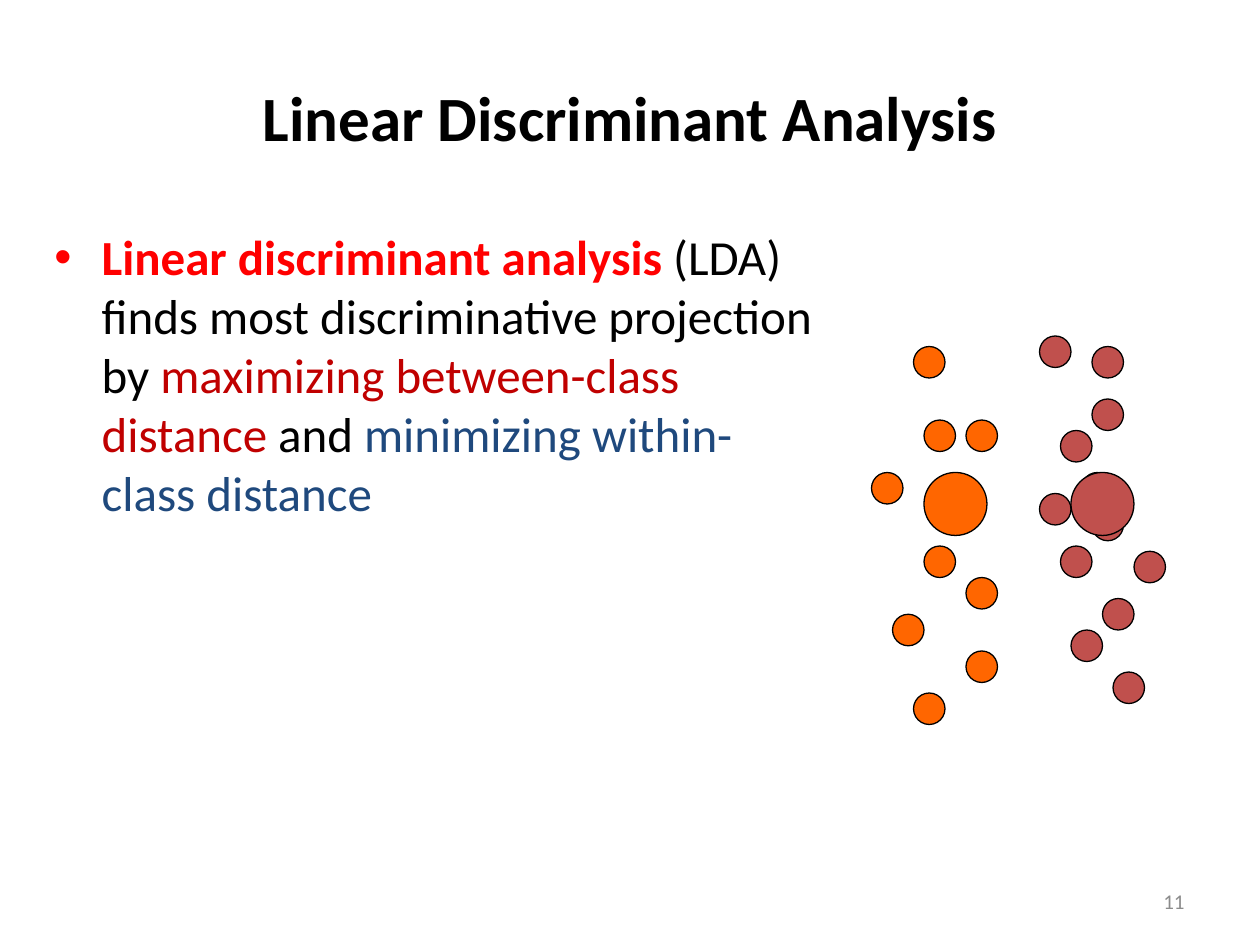
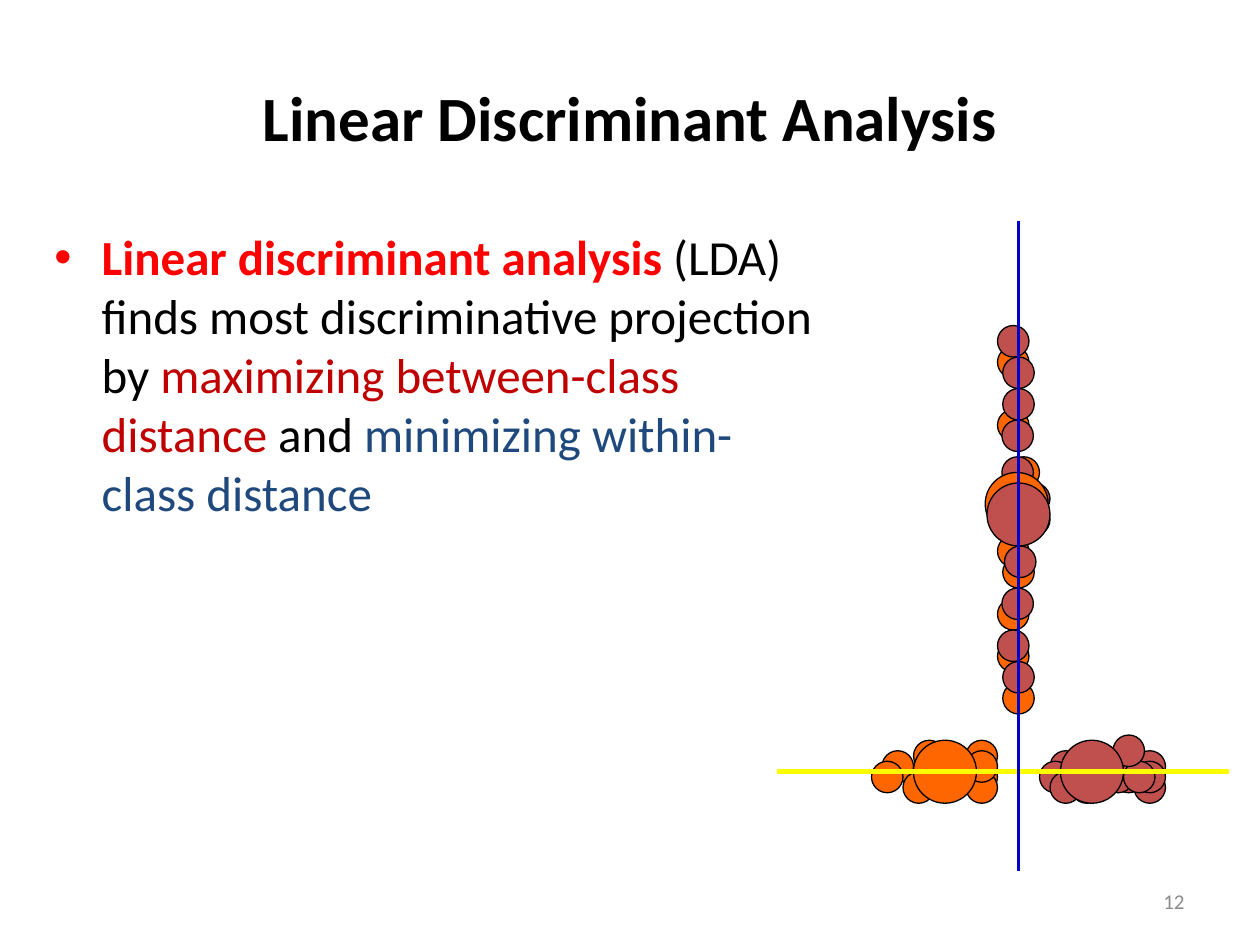
from dataclasses import dataclass
from lxml.etree import SubElement
from pptx import Presentation
from pptx.dml.color import RGBColor
from pptx.enum.shapes import MSO_CONNECTOR, MSO_SHAPE
from pptx.enum.text import MSO_ANCHOR, PP_ALIGN
from pptx.oxml.ns import qn
from pptx.util import Pt


@dataclass(frozen=True)
class Theme:
    font: str = "Calibri"
    ink: str = "000000"
    paper: str = "FFFFFF"
    term: str = "FF0000"
    between: str = "C00000"
    within: str = "1F497D"
    orange: str = "FF6600"
    red: str = "C0504D"
    yellow: str = "FFFF00"
    blue: str = "0000CC"
    gray: str = "8C8C8C"
    head: float = 36
    body: float = 28
    foot: float = 12
    dot: float = 18
    hub: float = 36
    edge: float = 0.75


THEME = Theme()

TITLE = "Linear Discriminant Analysis"
POINT = [
    ("Linear discriminant analysis ", THEME.term, True),
    ("(LDA) finds most discriminative projection by ", THEME.ink, False),
    ("maximizing between-class distance", THEME.between, False),
    (" and ", THEME.ink, False),
    ("minimizing within-class distance", THEME.within, False),
]

PLANE = {
    THEME.orange: [(552, 330), (552, 240), (510, 351), (534, 282), (498, 270),
                   (552, 372), (528, 240), (522, 396), (528, 312), (522, 198)],
    THEME.red: [(606, 246), (624, 291), (606, 312), (624, 228), (630, 342),
                (648, 315), (624, 198), (618, 270), (594, 282), (594, 192),
                (636, 384), (612, 360)],
}
FLAT = {
    THEME.orange: [(552, 435), (552, 423), (504, 429), (552, 441), (498, 435),
                   (552, 429), (516, 441), (522, 432), (522, 423), (528, 435)],
    THEME.red: [(612, 435), (648, 441), (600, 429), (636, 435), (630, 435),
                (648, 429), (648, 435), (642, 435), (594, 435), (600, 441),
                (636, 420), (612, 441)],
}
TALL = {
    THEME.orange: [(573, 318), (570, 342), (576, 261), (570, 366), (570, 234),
                   (573, 390), (570, 306), (570, 198)],
    THEME.red: [(572.5, 240), (582, 288), (573, 222), (572.5, 336), (574, 312),
                (573, 204), (572.5, 261), (582, 276), (570, 186), (573, 378),
                (570, 360)],
}


def apply(target, values):
    for name, value in values.items():
        setattr(target, name, value)


def add_box(slide, place, runs, size, **form):
    frame = slide.shapes.add_textbox(*map(Pt, place)).text_frame
    apply(frame, {"word_wrap": True,
                  "vertical_anchor": form.get("anchor", MSO_ANCHOR.MIDDLE)})
    para = frame.paragraphs[0]
    para.alignment = form.get("align", PP_ALIGN.LEFT)
    for text, color, bold in runs:
        run = para.add_run()
        run.text = text
        apply(run.font, {"name": THEME.font, "size": Pt(size), "bold": bold})
        run.font.color.rgb = RGBColor.from_string(color)
    return para


def add_bullet(para, indent):
    para.space_before = Pt(THEME.body * 0.2)
    props = para._p.get_or_add_pPr()
    apply_xml = {"marL": indent, "indent": -indent}
    for name, value in apply_xml.items():
        props.set(name, str(Pt(value)))
    SubElement(props, qn("a:buFont"), typeface="Arial")
    SubElement(props, qn("a:buChar"), char="•")


def add_dot(group, spot, size, color):
    dot = group.shapes.add_shape(MSO_SHAPE.OVAL, *map(Pt, (*spot, size, size)))
    dot.shadow.inherit = False
    dot.fill.solid()
    dot.fill.fore_color.rgb = RGBColor.from_string(color)
    dot.line.color.rgb = RGBColor.from_string(THEME.ink)
    dot.line.width = Pt(THEME.edge)


def add_cloud(slide, dots, hubs):
    group = slide.shapes.add_group_shape()
    for color, spots in dots.items():
        for spot in spots:
            add_dot(group, spot, THEME.dot, color)
    for color, spot in zip(dots, hubs):
        add_dot(group, spot, THEME.hub, color)
    return group


def add_axis(group, ends, color, width):
    axis = group.shapes.add_connector(MSO_CONNECTOR.STRAIGHT, *map(Pt, ends))
    axis.line.color.rgb = RGBColor.from_string(color)
    axis.line.width = Pt(width)
    SubElement(axis._element.spPr, qn("a:effectLst"))


def add_page(deck, number):
    slide = deck.slides.add_slide(deck.slide_layouts[6])
    slide.background.fill.solid()
    slide.background.fill.fore_color.rgb = RGBColor.from_string(THEME.paper)
    add_box(slide, (36, 21.6, 648, 90), [(TITLE, THEME.ink, True)],
            THEME.head, align=PP_ALIGN.CENTER)
    point = add_box(slide, (24, 126, 450, 356.4), POINT, THEME.body,
                    anchor=MSO_ANCHOR.TOP)
    add_bullet(point, 27)
    add_box(slide, (516, 500.5, 168, 28.75), [(str(number), THEME.gray, False)],
            THEME.foot, align=PP_ALIGN.RIGHT)
    return slide


def main():
    deck = Presentation()
    apply(deck, {"slide_width": Pt(720), "slide_height": Pt(540)})

    add_cloud(add_page(deck, 11), PLANE, [(528, 270), (612, 270)])

    slide = add_page(deck, 12)
    flat = add_cloud(slide, FLAT, [(522, 423), (606, 423)])
    add_axis(flat, (444, 441, 702, 441), THEME.yellow, 3)
    tall = add_cloud(slide, TALL, [(563, 270), (564, 276)])
    add_axis(tall, (582, 126, 582, 498), THEME.blue, 2.25)

    deck.save("out.pptx")


if __name__ == "__main__":
    main()
